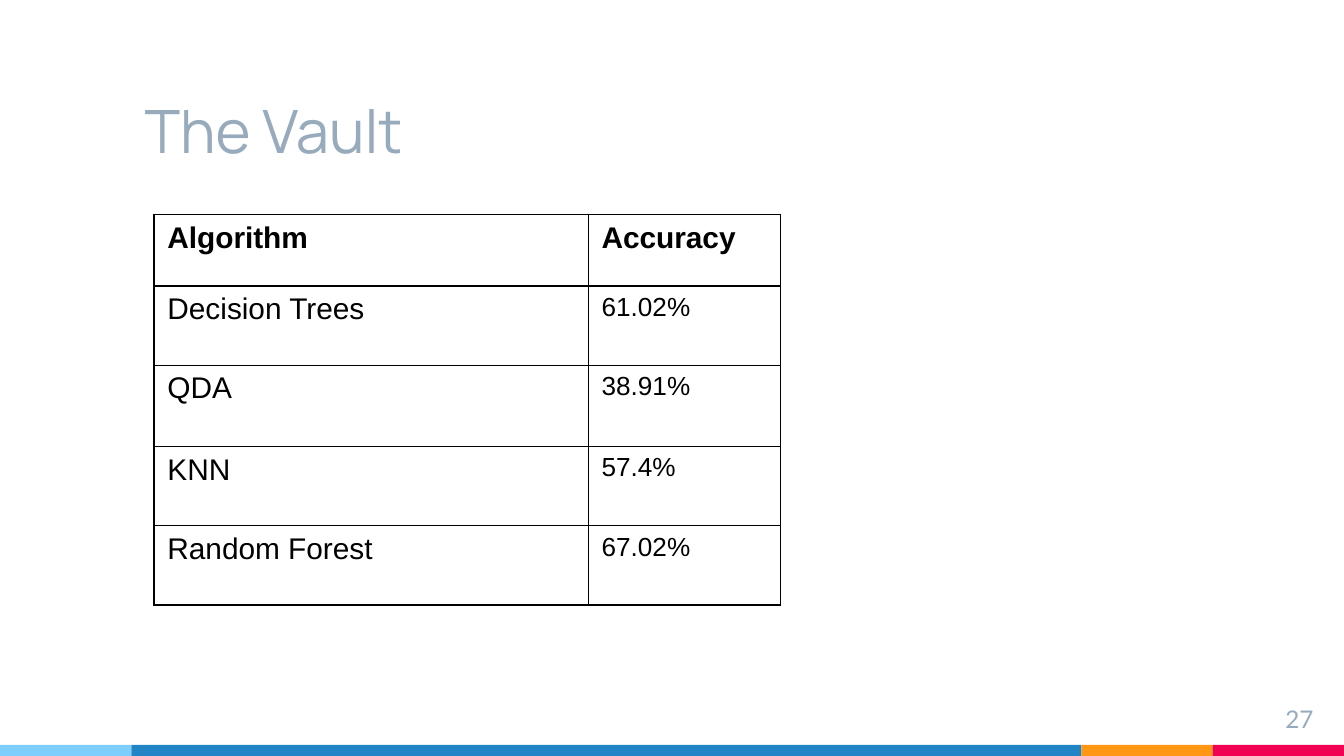
from lxml import etree
from pptx import Presentation
from pptx.dml.color import RGBColor
from pptx.enum.shapes import MSO_SHAPE
from pptx.enum.text import MSO_ANCHOR, PP_ALIGN
from pptx.oxml.ns import qn
from pptx.util import Inches, Pt

RECT = MSO_SHAPE.RECTANGLE
TOP, BOTTOM = MSO_ANCHOR.TOP, MSO_ANCHOR.BOTTOM
LEFT, RIGHT = PP_ALIGN.LEFT, PP_ALIGN.RIGHT

COLORS = {
    "sky": "7ECEFD", "blue": "2185C5", "orange": "FF9715", "red": "F20253",
    "muted": "97ABBC", "ink": "000000", "paper": "FFFFFF",
}
COLS, ROWS = 100, 56.25  # square grid cells covering the 16:9 slide


class Deck:
    """Slide style and the current slide; lengths are in grid cells."""

    def __init__(self, prs):
        self.cell = prs.slide_width / COLS
        self.s = prs.slides.add_slide(prs.slide_layouts[6])
        fill = self.s.background.fill
        fill.solid()
        fill.fore_color.rgb = self.color("paper")

    def color(self, name):
        return RGBColor.from_string(COLORS[name])

    def grid(self, *cells):
        return [round(c * self.cell) for c in cells]

    def style(self, p, size, font, color, bold=False):
        for r in p.runs:
            r.font.size, r.font.name, r.font.bold = Pt(size), font, bold
            r.font.color.rgb = self.color(color)

    def bar(self, x, y, w, h, color):
        sp = self.s.shapes.add_shape(RECT, *self.grid(x, y, w, h))
        sp.shadow.inherit = False
        sp.fill.solid()
        sp.fill.fore_color.rgb = self.color(color)
        sp.line.fill.background()

    def text(self, x, y, w, h, text, size, font, anchor=TOP, align=LEFT):
        tf = self.s.shapes.add_textbox(*self.grid(x, y, w, h)).text_frame
        tf.word_wrap = True
        tf.vertical_anchor = anchor
        tf.margin_left = tf.margin_right = Inches(0.1)
        tf.margin_top = tf.margin_bottom = Inches(0.1)
        tf.text = text
        p = tf.paragraphs[0]
        p.alignment = align
        self.style(p, size, font, "muted")

    def borders(self, cell, width=0.75):
        tcPr = cell._tc.get_or_add_tcPr()
        for side in ("a:lnL", "a:lnR", "a:lnT", "a:lnB"):
            ln = etree.SubElement(tcPr, qn(side), w=str(Pt(width)))
            fill = etree.SubElement(ln, qn("a:solidFill"))
            etree.SubElement(fill, qn("a:srgbClr"), val=COLORS["ink"])

    def table(self, x, y, widths, heights, data):
        frame = self.s.shapes.add_table(
            len(heights), len(widths),
            *self.grid(x, y, sum(widths), sum(heights)))
        table = frame.table
        table.first_row = table.horz_banding = False
        for col, width in zip(table.columns, self.grid(*widths)):
            col.width = width
        for row, height in zip(table.rows, self.grid(*heights)):
            row.height = height
        for i, values in enumerate(data):
            for j, value in enumerate(values):
                cell = table.cell(i, j)
                self.borders(cell)
                cell.fill.background()
                cell.text_frame.text = value
                size = 14 if i and j else 16
                self.style(cell.text_frame.paragraphs[0], size, "Arial",
                           "ink", bold=i == 0)


def main():
    prs = Presentation()
    prs.slide_width, prs.slide_height = Inches(COLS / 10), Inches(ROWS / 10)
    deck = Deck(prs)

    # Footer stripe
    x, thickness = 0, 0.82
    for width, color in ((9.77, "sky"), (70.69, "blue"),
                         (9.77, "orange"), (9.77, "red")):
        deck.bar(x, ROWS - thickness, width, thickness, color)
        x += width

    # Title and page number
    deck.text(9.77, 3.9, 83, 9.4, "The Vault", 32, "Manrope", anchor=BOTTOM)
    deck.text(92.7, 51.4, 6, 3.4, "27", 13, "Lato", align=RIGHT)

    # Accuracy by algorithm
    deck.table(11.46, 15.98, (32.3, 14.3), (5.3, 5.9, 6.05, 5.9, 5.9), (
        ("Algorithm", "Accuracy"),
        ("Decision Trees", "61.02%"),
        ("QDA", "38.91%"),
        ("KNN", "57.4%"),
        ("Random Forest", "67.02%"),
    ))

    prs.save("out.pptx")


if __name__ == "__main__":
    main()
